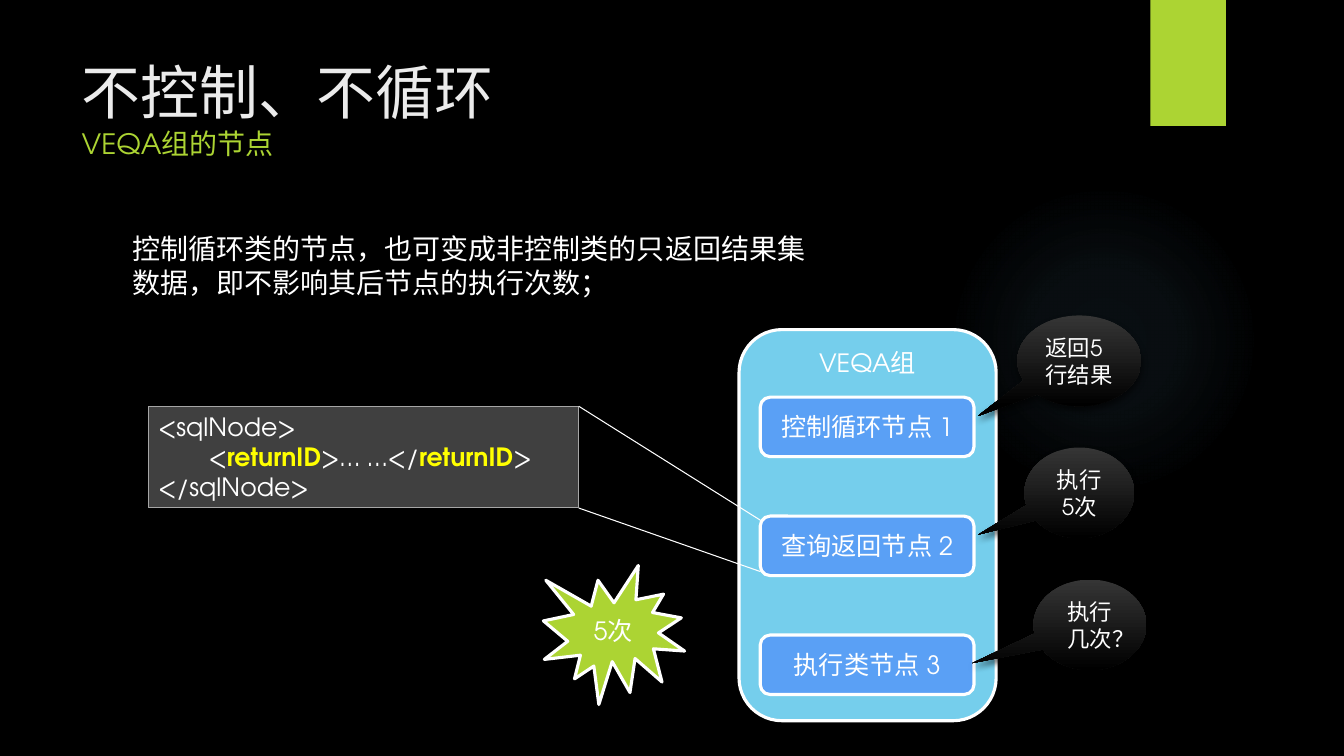
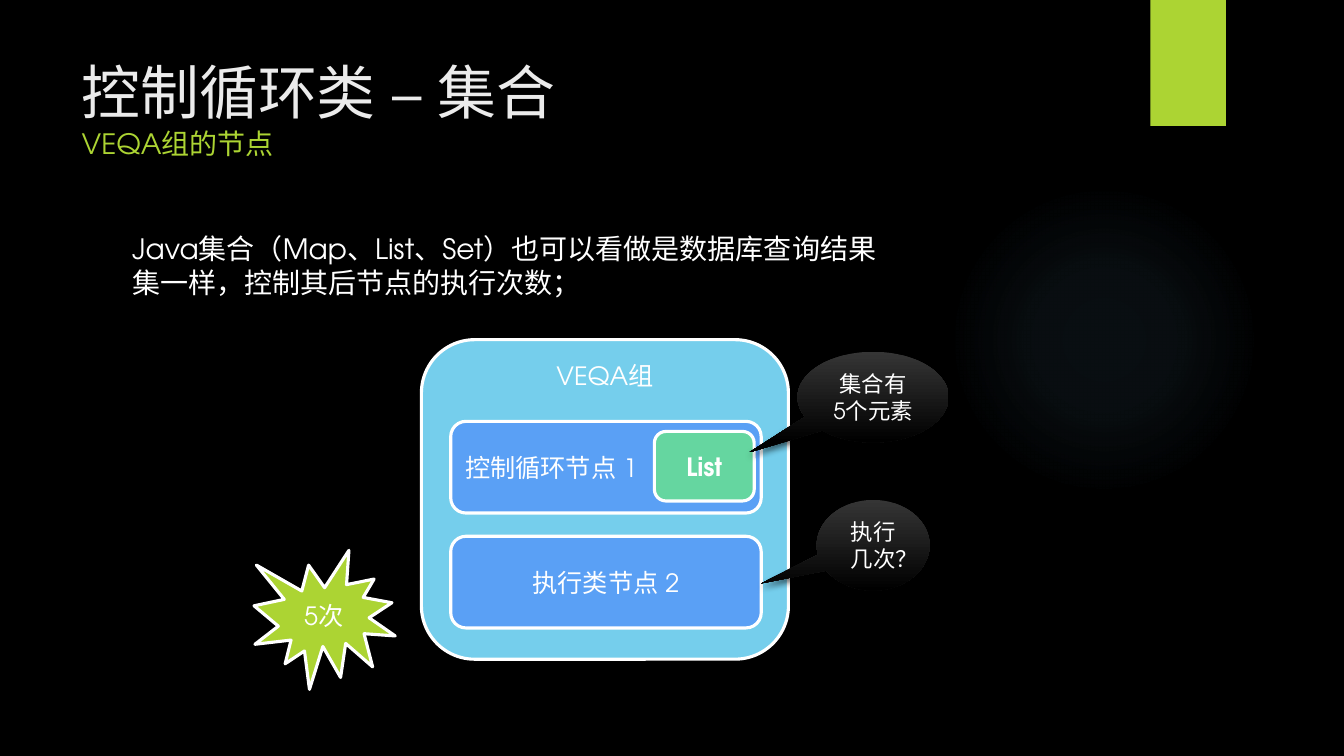
import copy
import pptx
import pptx.dml.color
import pptx.enum.shapes
import pptx.enum.text
import pptx.oxml
import pptx.oxml.ns
import pptx.util

Inches, Pt = pptx.util.Inches, pptx.util.Pt
SHAPE = pptx.enum.shapes.MSO_SHAPE
LEFT, CENTER = pptx.enum.text.PP_ALIGN.LEFT, pptx.enum.text.PP_ALIGN.CENTER
TOP, MIDDLE = pptx.enum.text.MSO_ANCHOR.TOP, pptx.enum.text.MSO_ANCHOR.MIDDLE
qn = pptx.oxml.ns.qn
NS = pptx.oxml.ns.nsdecls("a")

FONT = "TeX Gyre Adventor"
COLORS = {
    "back": "000000", "lime": "ACD433", "glow": "7AC4F0", "title": "EBEBEB",
    "white": "FFFFFF", "group": "75CEEC", "node": "5AA0F5", "list": "65D6A0",
    "code": "404040", "edge": "A6A6A6", "key": "FFFF00", "dark": "353535",
}

GROUP = "VEQA组"
SUB = GROUP + "的节点"
BURST = "5次"
KEY = "returnID"
CODE = ["<sqlNode>", f"\t<{KEY}>… …</{KEY}>", "</sqlNode>"]
CODE_BOX = (1.47, 4.03, 4.27, 1.01)
LIST_BOX = (6.49, 4.28, 0.99, 0.69)

# Node labels carry their alignment; callouts carry box, tail, alignment.
SLIDES = [
    {
        "title": "不控制、不循环",
        "body": "控制循环类的节点，也可变成非控制类的只返回结果集数据，"
                "即不影响其后节点的执行次数；",
        "width": 6.89,
        "group": (7.33, 3.27, 2.55, 3.88),
        "first": (7.54, 3.94, 2.12, 0.59),
        "pitch": 1.18,
        "nodes": [("控制循环节点 1", CENTER), ("查询返回节点 2", CENTER),
                  ("执行类节点 3", CENTER)],
        "calls": [
            ("返回5行结果", (10.09, 3.13, 1.23, 0.9), (-0.82, 0.61), LEFT),
            ("执行\n5次", (10.16, 4.44, 1.09, 0.9), (-0.92, 0.46), CENTER),
            ("执行\n几次？", (10.25, 5.75, 1.12, 0.9), (-1.04, 0.42), CENTER),
        ],
        "burst": (5.39, 5.61, 1.4, 1.38),
    },
    {
        "title": "控制循环类 – 集合",
        "body": "Java集合（Map、List、Set）也可以看做是数据库查询结果集一样，"
                "控制其后节点的执行次数；",
        "width": 7.72,
        "group": (4.18, 3.37, 3.64, 3.17),
        "first": (4.47, 4.18, 3.08, 0.91),
        "pitch": 1.14,
        "nodes": [("控制循环节点 1", LEFT), ("执行类节点 2", CENTER)],
        "calls": [
            ("集合有\n5个元素", (7.91, 3.49, 1.5, 0.9), (-0.82, 0.61), CENTER),
            ("执行\n几次？", (8.1, 4.96, 1.12, 0.9), (-0.99, 0.42), CENTER),
        ],
        "burst": (2.52, 5.46, 1.4, 1.38),
    },
]


def rgb(name):
    return pptx.dml.color.RGBColor.from_string(COLORS[name])


def place(shape, box):
    shape.left, shape.top, shape.width, shape.height = map(Inches, box)


def style(run, size, color="white", bold=False):
    """Format a run, using one font for Latin and East Asian text."""
    run.font.size, run.font.bold, run.font.name = Pt(size), bold, FONT
    run.font.color.rgb = rgb(color)
    face = pptx.oxml.parse_xml(f'<a:ea {NS} typeface="{FONT}"/>')
    run.font._element.find(qn("a:latin")).addnext(face)


def write(shape, text, size, align=CENTER, anchor=MIDDLE, **look):
    frame = shape.text_frame
    frame.text = text
    frame.word_wrap, frame.vertical_anchor = True, anchor
    for para in frame.paragraphs:
        para.alignment = align
        for run in para.runs:
            style(run, size, **look)


def draw(slide, kind, box, fill, line=None, width=2.25):
    shape = slide.shapes.add_shape(kind, *map(Inches, box))
    shape.shadow.inherit = False
    shape.fill.solid()
    shape.fill.fore_color.rgb = rgb(fill)
    if line:
        shape.line.color.rgb = rgb(line)
        shape.line.width = Pt(width)
    else:
        shape.line.fill.background()
    return shape


def add_base(slide):
    """Draw the lime band and a circle that fades out from its centre."""
    glow = draw(slide, SHAPE.OVAL, (9.41, 1.83, 3.08, 3.08), "glow")
    stops = "".join(
        f'<a:gs pos="{pos * 1000}"><a:srgbClr val="{COLORS["glow"]}">'
        f'<a:alpha val="{alpha * 1000}"/></a:srgbClr></a:gs>'
        for pos, alpha in [(0, 7), (36, 6), (69, 0), (100, 0)])
    fade = pptx.oxml.parse_xml(
        f'<a:gradFill {NS}><a:gsLst>{stops}</a:gsLst><a:path path="circle">'
        '<a:fillToRect l="50000" t="50000" r="50000" b="50000"/></a:path>'
        '</a:gradFill>')
    solid = glow._element.spPr.find(qn("a:solidFill"))
    solid.getparent().replace(solid, fade)
    draw(slide, SHAPE.RECTANGLE, (11.41, 0, 0.75, 1.25), "lime")


def add_heads(slide, data):
    title, body = slide.placeholders
    place(title, (0.71, 0.5, 10.29, 1.53))
    write(title, data["title"] + "\v" + SUB, 42, LEFT, TOP, color="title")
    para = title.text_frame.paragraphs[0]
    main, sub = para.runs
    para._p.find(qn("a:br")).append(copy.deepcopy(main.font._element))
    sub.font.size = Pt(20)
    sub.font.color.rgb = rgb("lime")

    place(body, (1.21, 2.25, data["width"], 4.59))
    write(body, data["body"], 20, LEFT, TOP)
    para = body.text_frame.paragraphs[0]
    para.space_before = Pt(10)
    props = para._p.get_or_add_pPr()
    props.set("marL", "0")
    props.set("indent", "0")
    props.append(pptx.oxml.parse_xml(f"<a:buNone {NS}/>"))
    for shape in (title, body):
        shape.text_frame.auto_size = pptx.enum.text.MSO_AUTO_SIZE.NONE


def add_call(slide, text, box, tail, align):
    call = draw(slide, SHAPE.OVAL_CALLOUT, box, "dark")
    call.adjustments[0], call.adjustments[1] = tail
    call.fill.gradient()
    call.fill.gradient_angle = 270
    for stop, name in zip(call.fill.gradient_stops, ("dark", "back")):
        stop.color.rgb = rgb(name)
    call._element.spPr.find(qn("a:effectLst")).append(pptx.oxml.parse_xml(
        f'<a:outerShdw {NS} blurRad="{Pt(5)}" dist="{Pt(3)}" dir="5400000">'
        f'<a:srgbClr val="{COLORS["back"]}"><a:alpha val="60000"/></a:srgbClr>'
        '</a:outerShdw>'))
    write(call, text, 16, align)


def add_flow(slide, data):
    """Draw the group with its nodes, callouts and burst."""
    group = draw(slide, SHAPE.ROUNDED_RECTANGLE, data["group"], "group", "white")
    write(group, GROUP, 18, anchor=TOP)
    left, top, width, height = data["first"]
    for num, (text, align) in enumerate(data["nodes"]):
        box = (left, top + num * data["pitch"], width, height)
        node = draw(slide, SHAPE.ROUNDED_RECTANGLE, box, "node", "white")
        write(node, text, 18, align)
    for call in data["calls"]:
        add_call(slide, *call)
    burst = draw(slide, SHAPE.EXPLOSION1, data["burst"], "lime", "white")
    write(burst, BURST, 18)


def add_code(slide):
    """Draw the code box and the lines that lead to the second node."""
    box = draw(slide, SHAPE.RECTANGLE, CODE_BOX, "code", "edge", 0.75)
    write(box, "\n".join(CODE), 18, LEFT, TOP)
    for para, line in zip(box.text_frame.paragraphs, CODE):
        if KEY not in line:
            continue
        para.clear()
        for num, part in enumerate(line.replace(KEY, f"|{KEY}|").split("|")):
            run = para.add_run()
            run.text = part
            hot = num % 2 == 1
            style(run, 18, "key" if hot else "white", hot)
    left, top, width, height = CODE_BOX
    for start, end in [(top, 5.16), (top + height, 5.67)]:
        line = slide.shapes.add_connector(
            pptx.enum.shapes.MSO_CONNECTOR.STRAIGHT,
            *map(Inches, (left + width, start, 7.54, end)))
        line.line.color.rgb = rgb("white")
        line.line.width = Pt(0.75)
        line._element.spPr.append(pptx.oxml.parse_xml(f"<a:effectLst {NS}/>"))


def add_list(slide):
    # The first callout points onto this box, so it goes beneath the callouts.
    box = draw(slide, SHAPE.ROUNDED_RECTANGLE, LIST_BOX, "list", "white")
    write(box, "List", 18, bold=True)
    call = next(s for s in slide.shapes if s.has_text_frame
                and s.text_frame.text == SLIDES[1]["calls"][0][0])
    call._element.addprevious(box._element)


def main():
    prs = pptx.Presentation()
    prs.slide_width, prs.slide_height = Inches(13.33), Inches(7.5)
    back = prs.slide_master.background.fill
    back.solid()
    back.fore_color.rgb = rgb("back")
    for data, extra in zip(SLIDES, (add_code, add_list)):
        slide = prs.slides.add_slide(prs.slide_layouts[1])
        add_base(slide)
        add_heads(slide, data)
        add_flow(slide, data)
        extra(slide)
    prs.save("out.pptx")


if __name__ == "__main__":
    main()
